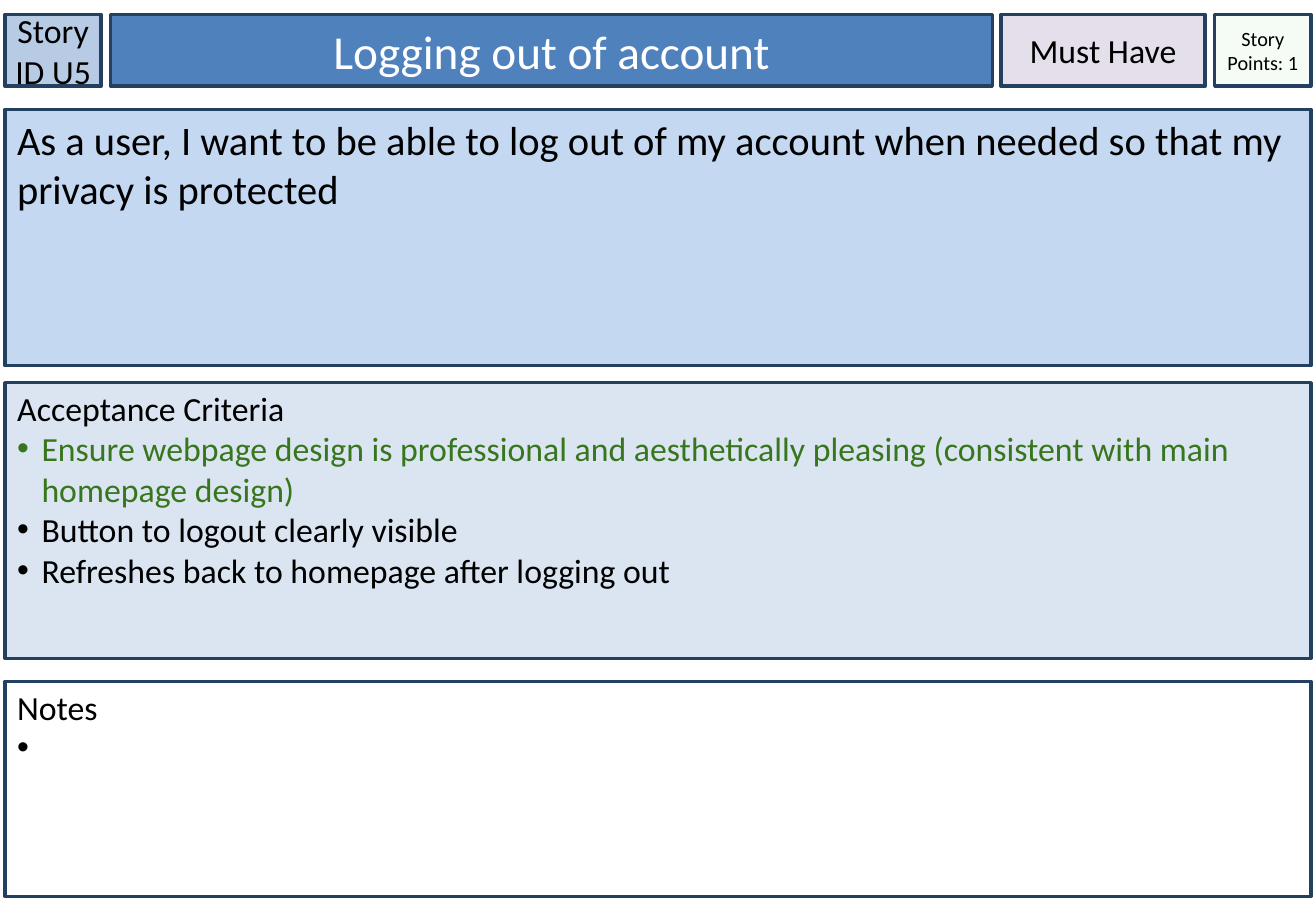
import pptx
import pptx.util
import pptx.dml.color
import pptx.enum.shapes
import pptx.enum.text
import pptx.oxml.ns
from lxml import etree

Pt = pptx.util.Pt
ALIGN = pptx.enum.text.PP_ALIGN
ANCHOR = pptx.enum.text.MSO_ANCHOR

SLIDE_WIDTH, SLIDE_HEIGHT = 780, 540
MARGIN = 3
HEADER_TOP, HEADER_HEIGHT = 8.6, 42.5
BORDER, BLACK, WHITE, GREEN = "244061", "000000", "FFFFFF", "38761D"

HEADER = [
    {"text": "Story ID U5", "left": 3, "width": 57, "fill": "B7CCE4", "size": 20},
    {"text": "Logging out of account", "left": 65.5, "width": 522.7, "fill": "4F81BD",
     "size": 28, "color": WHITE, "inset": 7.2, "placeholder": 0},
    {"text": "Must Have", "left": 593.3, "width": 121, "fill": "E5DFEC", "size": 20},
    {"text": "Story Points: 1", "left": 720, "width": 57, "fill": "CCF0CD",
     "size": 12, "opacity": 20},
]

PANELS = [
    {"top": 64.8, "height": 152, "fill": "C5D8F1", "size": 24, "inset_top": 3.6,
     "heading": "As a user, I want to be able to log out of my account when needed "
                "so that my privacy is protected", "bullets": []},
    {"top": 226.8, "height": 163.4, "fill": "DAE5F1", "size": 20, "inset_top": 2.9,
     "heading": "Acceptance Criteria", "placeholder": 1,
     "bullets": [
         ("Ensure webpage design is professional and aesthetically pleasing "
          "(consistent with main homepage design)", GREEN),
         ("Button to logout clearly visible", BLACK),
         ("Refreshes back to homepage after logging out", BLACK),
     ]},
    {"top": 403.9, "height": 127.4, "fill": WHITE, "size": 20, "inset_top": 2.9,
     "heading": "Notes", "bullets": [(" ", BLACK)]},
]


def rgb(value):
    return pptx.dml.color.RGBColor.from_string(value)


def add_child(parent, tag, **attributes):
    return etree.SubElement(parent, pptx.oxml.ns.qn(tag), attributes)


def add_box(slide, left, top, width, height, fill, placeholder=None, opacity=None):
    if placeholder is None:
        shape = slide.shapes.add_shape(pptx.enum.shapes.MSO_SHAPE.RECTANGLE,
                                       Pt(left), Pt(top), Pt(width), Pt(height))
        shape.shadow.inherit = False
    else:
        shape = slide.placeholders[placeholder]
        shape.left, shape.top = Pt(left), Pt(top)
        shape.width, shape.height = Pt(width), Pt(height)
    shape.fill.solid()
    shape.fill.fore_color.rgb = rgb(fill)
    if opacity is not None:
        color = shape.element.spPr.find(".//" + pptx.oxml.ns.qn("a:srgbClr"))
        add_child(color, "a:alpha", val=str(opacity * 1000))
    shape.line.color.rgb = rgb(BORDER)
    shape.line.width = Pt(2)
    return shape


def set_frame(shape, anchor, inset, inset_top=3.6):
    frame = shape.text_frame
    frame.word_wrap = True
    frame.auto_size = pptx.enum.text.MSO_AUTO_SIZE.NONE
    frame.vertical_anchor = anchor
    frame.margin_left = frame.margin_right = Pt(inset)
    frame.margin_top, frame.margin_bottom = Pt(inset_top), Pt(3.6)
    return frame


def write(paragraph, text, size=20, color=BLACK, align=ALIGN.LEFT, bullet=False):
    paragraph.alignment = align
    paragraph.space_before = Pt(0)
    run = paragraph.add_run()
    run.text = text
    run.font.name = "Calibri"
    run.font.size = Pt(size)
    run.font.color.rgb = rgb(color)
    properties = paragraph._p.get_or_add_pPr()
    indent = Pt(14.4) if bullet else 0
    properties.set("marL", str(indent))
    properties.set("indent", str(-indent))
    if bullet:
        add_child(add_child(properties, "a:buClr"), "a:srgbClr", val=color)
        add_child(properties, "a:buFont", typeface="Arial")
        add_child(properties, "a:buChar", char="•")
    else:
        add_child(properties, "a:buNone")


def main():
    presentation = pptx.Presentation()
    presentation.slide_width = Pt(SLIDE_WIDTH)
    presentation.slide_height = Pt(SLIDE_HEIGHT)
    slide = presentation.slides.add_slide(presentation.slide_layouts[1])

    for card in HEADER:
        shape = add_box(slide, card["left"], HEADER_TOP, card["width"], HEADER_HEIGHT,
                        card["fill"], card.get("placeholder"), card.get("opacity"))
        frame = set_frame(shape, ANCHOR.MIDDLE, card.get("inset", 0))
        write(frame.paragraphs[0], card["text"], size=card["size"],
              color=card.get("color", BLACK), align=ALIGN.CENTER)

    for panel in PANELS:
        shape = add_box(slide, MARGIN, panel["top"], SLIDE_WIDTH - 2 * MARGIN,
                        panel["height"], panel["fill"], panel.get("placeholder"))
        frame = set_frame(shape, ANCHOR.TOP, 7.2, panel["inset_top"])
        write(frame.paragraphs[0], panel["heading"], size=panel["size"])
        for text, color in panel["bullets"]:
            write(frame.add_paragraph(), text, size=panel["size"], color=color, bullet=True)

    presentation.save("out.pptx")


if __name__ == "__main__":
    main()
